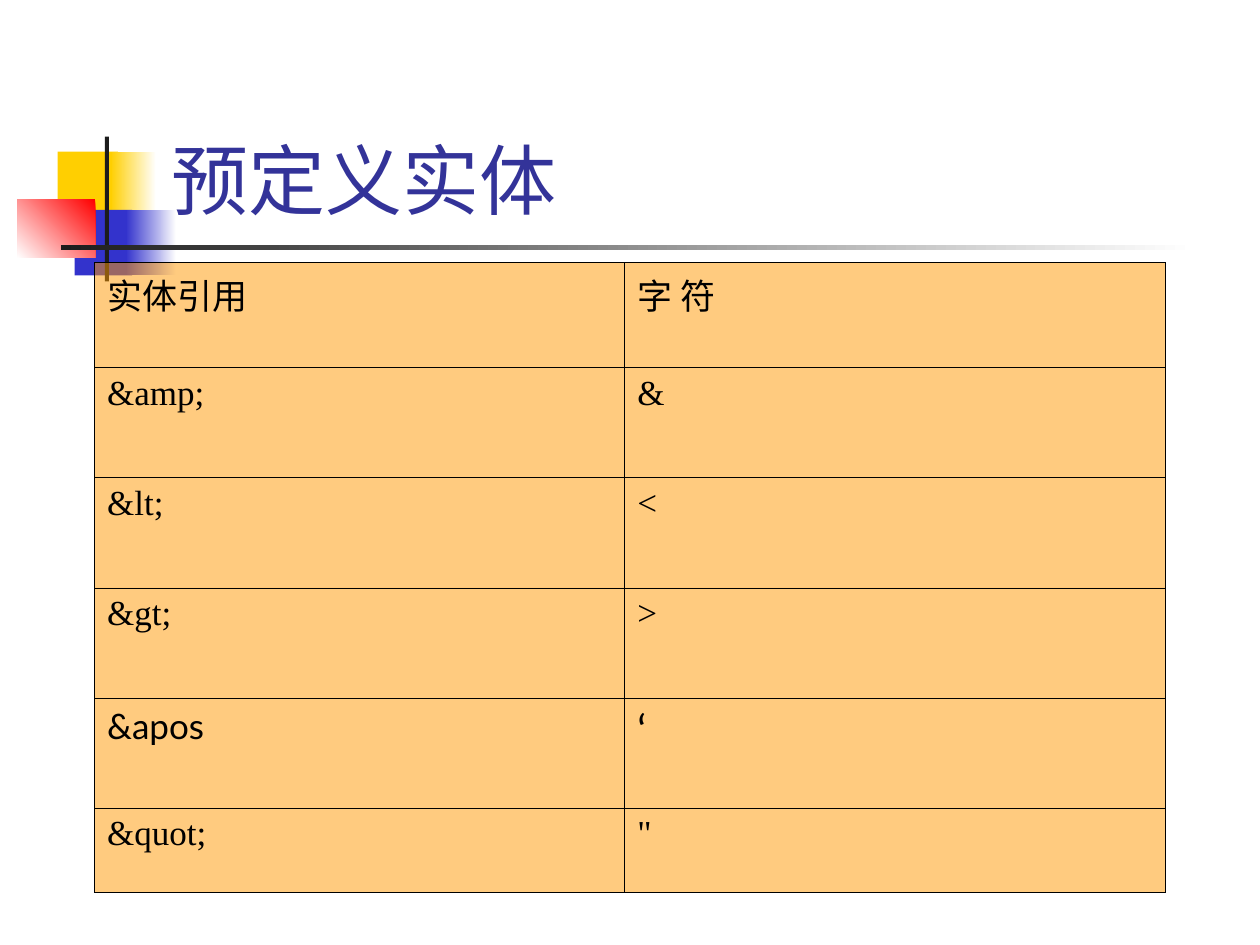
from lxml.etree import SubElement
from pptx import Presentation
from pptx.dml.color import RGBColor
from pptx.enum.shapes import MSO_SHAPE
from pptx.enum.text import MSO_ANCHOR
from pptx.oxml.ns import qn
from pptx.util import Pt

ROWS = [
    ("实体引用", "字 符", "Lato", 60),
    ("&amp;", "&", "Times New Roman", 63),
    ("&lt;", "<", "Times New Roman", 63),
    ("&gt;", ">", "Times New Roman", 63),
    ("&apos", "‘", "Lato", 63),
    ("&quot;", '"', "Times New Roman", 48),
]
MOTIF = [
    (23, 8.6, 34.4, 37.4, "FFCF01", None, 0),
    (53.2, 8.6, 26, 37.4, "FFFFFF", "FFCF01", 180),
    (32.6, 42, 33, 37.4, "3333CC", None, 0),
    (62, 42, 28.8, 37.4, "FFFFFF", "3333CC", 180),
    (0, 36, 44.4, 33.4, "FF0000", "FFFFFF", 225),
    (49.9, 0, 2.4, 82.8, "1C1C1C", None, 0),
    (24.7, 62.3, 648, 2.5, "FFFFFF", "1C1C1C", 180),
]


def color(code):
    return RGBColor.from_string(code)


def style(para, size, name, code):
    font = para.font
    font.size = Pt(size)
    font.name = name
    font.color.rgb = color(code)


def draw_motif(slide, left, top):
    for x, y, width, height, start, end, angle in MOTIF:
        block = slide.shapes.add_shape(
            MSO_SHAPE.RECTANGLE, Pt(left + x), Pt(top + y), Pt(width), Pt(height))
        block.shadow.inherit = False
        block.line.fill.background()
        if end is None:
            block.fill.solid()
            block.fill.fore_color.rgb = color(start)
            continue
        block.fill.gradient()
        block.fill.gradient_angle = angle
        for stop, code in zip(block.fill.gradient_stops, (start, end)):
            stop.color.rgb = color(code)


def draw_title(slide, left, top, width, height):
    box = slide.shapes.add_textbox(Pt(left), Pt(top), Pt(width), Pt(height))
    frame = box.text_frame
    frame.word_wrap = True
    frame.vertical_anchor = MSO_ANCHOR.BOTTOM
    frame.text = "预定义实体"
    style(frame.paragraphs[0], 44, "Lato", "333399")


def paint_cell(cell):
    props = cell._tc.get_or_add_tcPr()
    for side in ("lnL", "lnR", "lnT", "lnB"):
        line = SubElement(props, qn("a:" + side), w=str(Pt(0.45)))
        fill = SubElement(line, qn("a:solidFill"))
        SubElement(fill, qn("a:srgbClr"), val="000000")
    cell.fill.solid()
    cell.fill.fore_color.rgb = color("FF9900")
    tint = props.find(qn("a:solidFill")).find(qn("a:srgbClr"))
    SubElement(tint, qn("a:alpha"), val="50000")


def draw_table(slide, left, top, width, height):
    frame = slide.shapes.add_table(
        len(ROWS), 2, Pt(left), Pt(top), Pt(width), Pt(height))
    table = frame.table
    table.first_row = False
    table.horz_banding = False
    table.columns[0].width = Pt(303)
    table.columns[1].width = Pt(width - 303)
    for row, (entity, sign, name, tall) in zip(table.rows, ROWS):
        row.height = Pt(tall)
        for cell, text in zip(row.cells, (entity, sign)):
            cell.text = text
            paint_cell(cell)
            size = 24 if text == "‘" else 20
            style(cell.text_frame.paragraphs[0], size, name, "000000")


def main():
    deck = Presentation()
    deck.slide_width = Pt(720)
    deck.slide_height = Pt(540)
    slide = deck.slides.add_slide(deck.slide_layouts[6])
    draw_motif(slide, 10, 78)
    draw_title(slide, 90.7, 16.6, 613.4, 115.2)
    draw_table(slide, 54, 150, 612, 360)
    deck.save("out.pptx")


if __name__ == "__main__":
    main()
